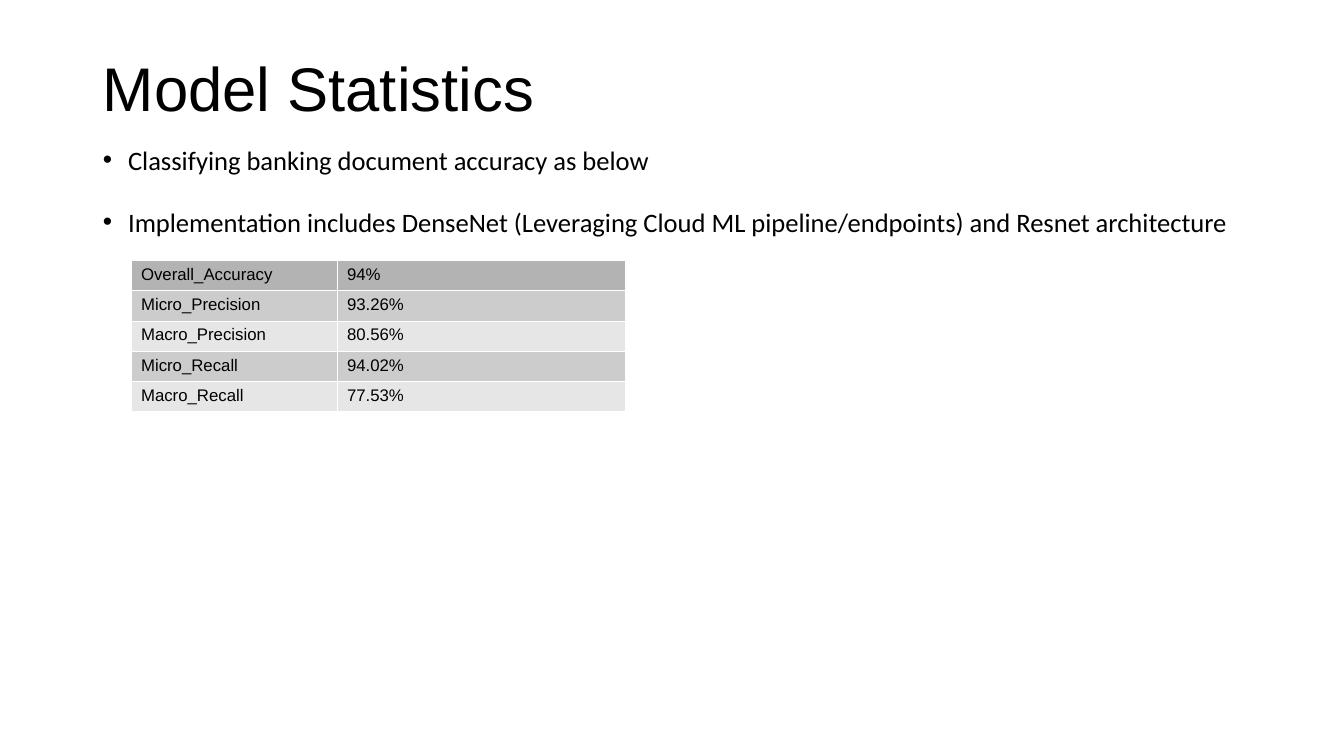
from lxml import etree
from pptx import Presentation, util as u
from pptx.dml.color import RGBColor
from pptx.enum import text
from pptx.oxml.ns import qn

SCALE = 914400 / 100.8
BLACK, WHITE = "000000", "FFFFFF"
HEADER_FILL, BAND_FILLS = "B3B3B3", ("CCCCCC", "E6E6E6")
BULLETS = (
    "Classifying banking document accuracy as below",
    "Implementation includes DenseNet (Leveraging Cloud ML pipeline/endpoints)"
    " and Resnet architecture",
)
METRICS = (
    ("Overall_Accuracy", "94%"),
    ("Micro_Precision", "93.26%"),
    ("Macro_Precision", "80.56%"),
    ("Micro_Recall", "94.02%"),
    ("Macro_Recall", "77.53%"),
)


def px(*lengths):
    """Turn pixel lengths into a list of EMU."""
    return [u.Emu(round(length * SCALE)) for length in lengths]


def color(value):
    """Return the colour for a hex string."""
    return RGBColor.from_string(value)


def style(paragraph, font, size):
    """Format every run of a paragraph."""
    for span in paragraph.runs:
        span.font.name = font
        span.font.size = u.Pt(size)
        span.font.color.rgb = color(BLACK)


def add_text(page, bounds, content, font, size):
    """Add a wrapping text box and return its text frame."""
    frame = page.shapes.add_textbox(*px(*bounds)).text_frame
    frame.word_wrap = True
    frame.text = content
    for paragraph in frame.paragraphs:
        style(paragraph, font, size)
    return frame


def add_bullet(paragraph):
    """Give a paragraph a hanging bullet and its spacing."""
    paragraph.line_spacing = 1.5
    paragraph.space_before = u.Pt(10)
    properties = paragraph._p.get_or_add_pPr()
    indent = u.Inches(0.25)
    properties.set("marL", str(indent))
    properties.set("indent", str(-indent))
    etree.SubElement(properties, qn("a:buFont")).set("typeface", "Arial")
    etree.SubElement(properties, qn("a:buChar")).set("char", "•")


def add_borders(cell):
    """Draw hairline white borders around a cell."""
    properties = cell._tc.get_or_add_tcPr()
    for index, side in enumerate(("lnL", "lnR", "lnT", "lnB")):
        line = etree.Element(qn(f"a:{side}"), w=str(u.Pt(0.06)))
        fill = etree.SubElement(line, qn("a:solidFill"))
        etree.SubElement(fill, qn("a:srgbClr")).set("val", WHITE)
        properties.insert(index, line)


def add_metrics(page, left, top, widths, row_height):
    """Add the banded table of model metrics."""
    bounds = px(left, top, sum(widths), row_height * len(METRICS))
    table = page.shapes.add_table(len(METRICS), len(widths), *bounds).table
    for column, width in zip(table.columns, px(*widths)):
        column.width = width
    for row, values in enumerate(METRICS):
        shade = BAND_FILLS[(row - 1) % 2] if row else HEADER_FILL
        for column, value in enumerate(values):
            cell = table.cell(row, column)
            cell.text = value
            style(cell.text_frame.paragraphs[0], "Arial", 12)
            for span in cell.text_frame.paragraphs[0].runs:
                span.font.bold = False
            cell.fill.solid()
            cell.fill.fore_color.rgb = color(shade)
            add_borders(cell)


def main():
    """Build the model statistics slide."""
    deck = Presentation()
    deck.slide_width, deck.slide_height = px(1344, 756)
    page = deck.slides.add_slide(deck.slide_layouts[6])
    title = add_text(page, (93, 40, 1159, 94), "Model Statistics", "Arial", 44)
    title.vertical_anchor = text.MSO_ANCHOR.MIDDLE
    body = add_text(page, (93, 123, 1159, 370), "\n".join(BULLETS), "Calibri", 19)
    for paragraph in body.paragraphs:
        add_bullet(paragraph)
    add_metrics(page, 131, 260, (206, 288), 23)
    deck.save("out.pptx")


main()
